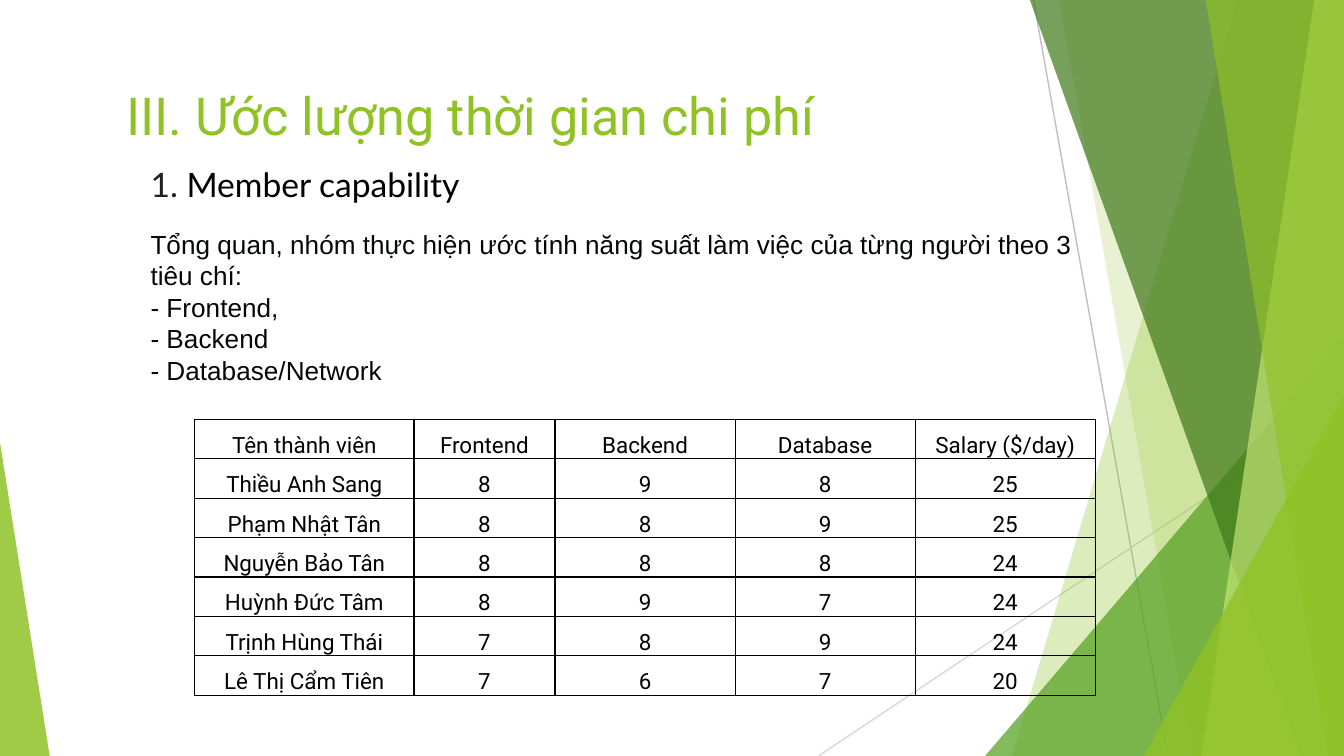
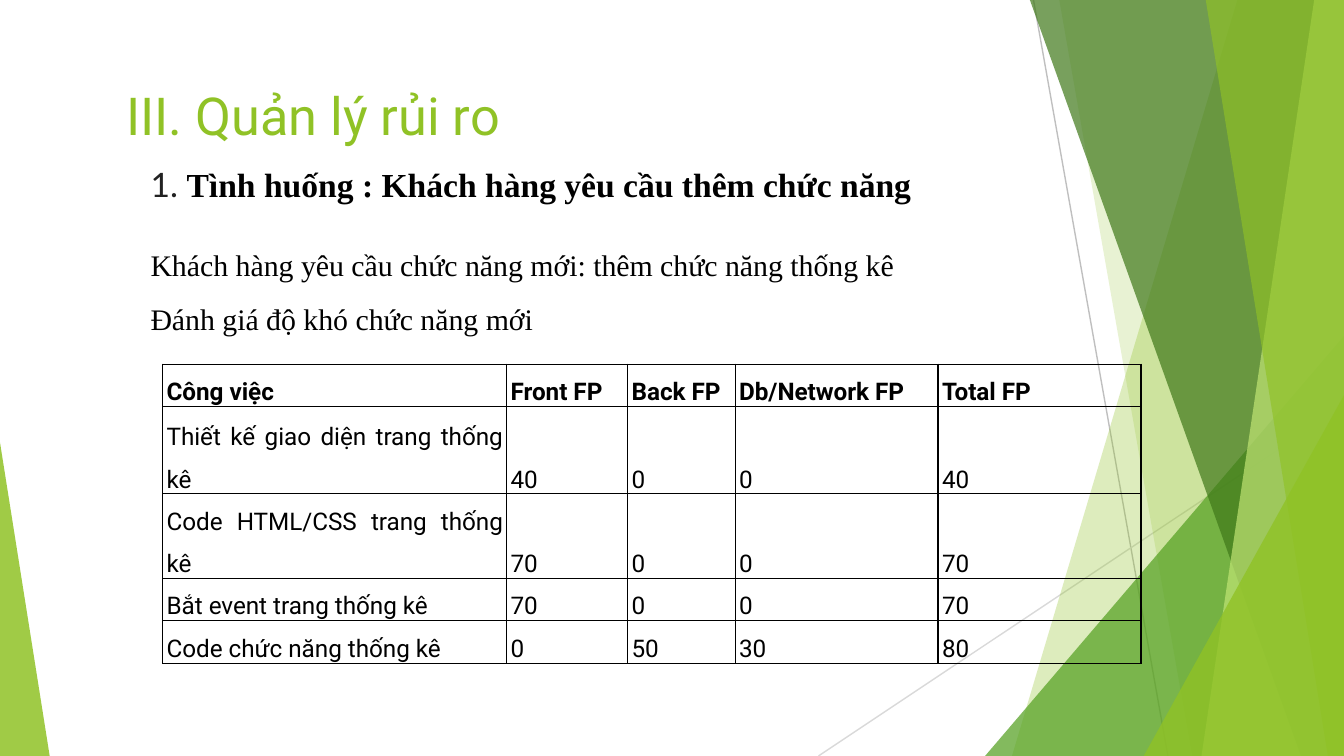
import pptx
import pptx.util
import pptx.dml.color
import pptx.enum.shapes
import pptx.enum.text
import pptx.oxml.ns
from lxml import etree

Inches, Pt = pptx.util.Inches, pptx.util.Pt
qn = pptx.oxml.ns.qn
ALIGN = pptx.enum.text.PP_ALIGN
ANCHOR = pptx.enum.text.MSO_ANCHOR

WIDTH = 10
HEIGHT = WIDTH * 9 / 16
GREEN, BLACK = "90C226", "000000"
SERIF = "Times New Roman"

RAYS = [((7.69, 0), (8.69, HEIGHT), "BFBFBF"), ((WIDTH, 3.02), (6.09, HEIGHT), "D9D9D9")]
FACETS = [
    ("band", (9.21, 7.53), GREEN, 30),
    ("band", (7.88, 8.87), GREEN, 20),
    ("triangle", (7.33, 2.5, 2.67, 1), "54A021", 72),
    ("band", (7.66, 9.68), "3F7819", 70),
    ("band", (9.78, 8.94), "C0E474", 70),
    ("band", (8.97, 9.88), GREEN, 65),
    ("triangle", (8.51, 2.94, 1.49, 1), GREEN, 80),
    ("triangle", (0, 3.29, 0.37, 0), GREEN, 85),
]

TITLE_BOX = (0.94, 0.66, 6.83, 0.43)
HEADING_BOX = (1.12, 1.22, 7.75, 0.36)
INTRO_BOX = (1.12, 1.7, 7.75, 1.12)

NUMBER = ("1. ", {"color": "222222"})

SLIDES = [
    {
        "title": "III. Ước lượng thời gian chi phí",
        "heading": [NUMBER, ("Member capability", {})],
        "intro": [
            "Tổng quan, nhóm thực hiện ước tính năng suất làm việc của từng người theo 3",
            "tiêu chí:",
            "- Frontend,",
            "- Backend",
            "- Database/Network",
        ],
        "intro_format": {"size": 14, "font": "Arial", "color": "040607"},
        "table": {
            "box": (1.45, 3.12, 6.7, 1.85),
            "columns": [1.63, 1.05, 1.34, 1.34, 1.34],
            "heights": [0.2] * 7,
            "margin": 0.07,
            "anchor": ANCHOR.TOP,
            "format": {"size": 12, "align": ALIGN.CENTER},
            "header_bold": False,
            "rows": [
                ("Tên thành viên", "Frontend", "Backend", "Database", "Salary ($/day)"),
                ("Thiều Anh Sang", 8, 9, 8, 25),
                ("Phạm Nhật Tân", 8, 8, 9, 25),
                ("Nguyễn Bảo Tân", 8, 8, 8, 24),
                ("Huỳnh Đức Tâm", 8, 9, 7, 24),
                ("Trịnh Hùng Thái", 7, 8, 9, 24),
                ("Lê Thị Cẩm Tiên", 7, 6, 7, 20),
            ],
        },
    },
    {
        "title": "III. Quản lý rủi ro",
        "heading": [NUMBER, ("Tình huống : Khách hàng yêu cầu thêm chức năng",
                             {"font": SERIF, "bold": True})],
        "intro": [
            "Khách hàng yêu cầu chức năng mới: thêm chức năng thống kê",
            "Đánh giá độ khó chức năng mới",
        ],
        "intro_format": {"size": 16, "font": SERIF, "align": ALIGN.JUSTIFY,
                         "spacing": 1.5, "gap": 0.1},
        "table": {
            "box": (1.21, 2.71, 7.28, 2.09),
            "columns": [2.56, 0.9, 0.8, 1.51, 1.51],
            "heights": [0.3, 0.65, 0.55, 0.26, 0.26],
            "margin": 0.03,
            "anchor": ANCHOR.BOTTOM,
            "format": {"size": 13, "align": ALIGN.JUSTIFY, "gap": 12},
            "header_bold": True,
            "rows": [
                ("Công việc ", "Front FP", "Back FP", "Db/Network FP", "Total FP"),
                ("Thiết kế giao diện trang thống kê", 40, 0, 0, 40),
                ("Code HTML/CSS trang thống kê", 70, 0, 0, 70),
                ("Bắt event trang thống kê", 70, 0, 0, 70),
                ("Code chức năng thống kê", 0, 50, 30, 80),
            ],
        },
    },
]


def rgb(value):
    return pptx.dml.color.RGBColor.from_string(value)


def write(frame, paragraphs, size=18, font="Roboto", color=BLACK, bold=False,
          align=ALIGN.LEFT, spacing=1.0, gap=0):
    for index, content in enumerate(paragraphs):
        paragraph = frame.add_paragraph() if index else frame.paragraphs[0]
        paragraph.alignment = align
        paragraph.line_spacing = spacing
        paragraph.space_before = paragraph.space_after = Pt(gap)
        runs = [(content, {})] if isinstance(content, str) else content
        for text, changes in runs:
            run = paragraph.add_run()
            run.text = text
            run.font.size = Pt(size)
            run.font.name = changes.get("font", font)
            run.font.bold = changes.get("bold", bold)
            run.font.color.rgb = rgb(changes.get("color", color))


def fill_placeholder(placeholder, box, paragraphs, anchor=ANCHOR.TOP, **fmt):
    placeholder.left, placeholder.top, placeholder.width, placeholder.height = map(Inches, box)
    frame = placeholder.text_frame
    frame.word_wrap = True
    frame.auto_size = pptx.enum.text.MSO_AUTO_SIZE.NONE
    frame.vertical_anchor = anchor
    frame.margin_left = frame.margin_right = frame.margin_top = frame.margin_bottom = 0
    write(frame, paragraphs, **fmt)
    for properties in placeholder.element.iter(qn("a:pPr")):
        properties.set("marL", "0")
        properties.set("indent", "0")
        etree.SubElement(properties, qn("a:buNone"))


def draw_facets(slide, layout):
    group = slide.shapes.add_group_shape()
    for start, end, color in RAYS:
        ray = group.shapes.add_connector(pptx.enum.shapes.MSO_CONNECTOR.STRAIGHT,
                                         *map(Inches, start + end))
        ray.line.color.rgb = rgb(color)
        ray.line.width = Pt(0.75)
        etree.SubElement(ray.element.spPr, qn("a:effectLst"))
    for kind, place, color, opacity in FACETS:
        if kind == "band":
            top_x, bottom_x = place
            outline = group.shapes.build_freeform(Inches(top_x), Inches(-0.01))
            corners = [(WIDTH, -0.01), (WIDTH, HEIGHT), (bottom_x, HEIGHT)]
            outline.add_line_segments([(Inches(x), Inches(y)) for x, y in corners], close=True)
            facet = outline.convert_to_shape()
        else:
            left, top, width, apex = place
            facet = group.shapes.add_shape(pptx.enum.shapes.MSO_SHAPE.ISOSCELES_TRIANGLE,
                                           *map(Inches, (left, top, width, HEIGHT - top)))
            facet.adjustments[0] = apex
        facet.shadow.inherit = False
        facet.fill.solid()
        facet.fill.fore_color.rgb = rgb(color)
        facet.line.fill.background()
        shade = next(facet.element.iter(qn("a:srgbClr")))
        etree.SubElement(shade, qn("a:alpha")).set("val", str(opacity * 1000))
    layout.shapes.element.insert(2, group.element)


def outline_cell(cell):
    properties = cell._tc.get_or_add_tcPr()
    for position, side in enumerate(("lnL", "lnR", "lnT", "lnB")):
        border = etree.Element(qn("a:" + side), w=str(Pt(0.75)))
        ink = etree.SubElement(border, qn("a:solidFill"))
        etree.SubElement(ink, qn("a:srgbClr"), val=BLACK)
        properties.insert(position, border)


def add_grid(slide, content):
    rows, columns = content["rows"], content["columns"]
    holder = slide.shapes.add_table(len(rows), len(columns), *map(Inches, content["box"]))
    grid = holder.table
    grid.first_row = grid.horz_banding = False
    for column, width in zip(grid.columns, columns):
        column.width = Inches(width)
    for row, height in zip(grid.rows, content["heights"]):
        row.height = Inches(height)
    holder.height = Inches(content["box"][3])
    for r, values in enumerate(rows):
        for c, value in enumerate(values):
            cell = grid.cell(r, c)
            cell.margin_left = cell.margin_right = Inches(content["margin"])
            cell.margin_top = cell.margin_bottom = 0
            cell.vertical_anchor = content["anchor"]
            cell.fill.background()
            outline_cell(cell)
            write(cell.text_frame, [str(value)], spacing=1.5,
                  bold=content["header_bold"] and r == 0, **content["format"])


def main():
    deck = pptx.Presentation()
    deck.slide_width, deck.slide_height = Inches(WIDTH), Inches(HEIGHT)
    layout = deck.slide_layouts.get_by_name("Two Content")
    for number, content in enumerate(SLIDES):
        slide = deck.slides.add_slide(layout)
        if number == 0:
            draw_facets(slide, layout)
        title, intro, heading = slide.placeholders
        fill_placeholder(title, TITLE_BOX, [content["title"]], ANCHOR.BOTTOM,
                         size=28, color=GREEN)
        fill_placeholder(intro, INTRO_BOX, content["intro"], **content["intro_format"])
        fill_placeholder(heading, HEADING_BOX, [content["heading"]], font="Lato")
        add_grid(slide, content["table"])
    deck.save("out.pptx")


if __name__ == "__main__":
    main()
